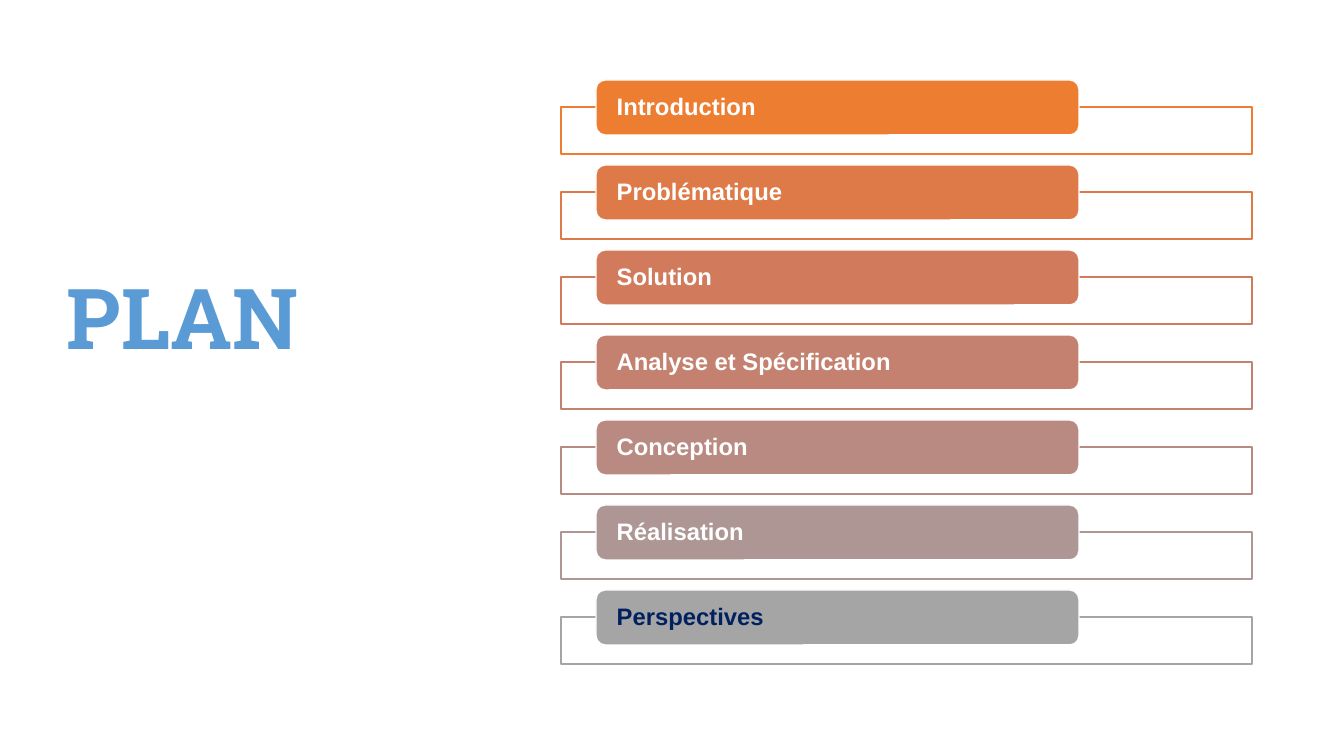
from collections import namedtuple
from lxml.etree import SubElement
from pptx import Presentation
from pptx.dml.color import RGBColor as RGB
from pptx.enum.shapes import MSO_SHAPE as SHAPE
from pptx.enum.text import MSO_ANCHOR as ANCHOR, MSO_AUTO_SIZE as FIT, PP_ALIGN as ALIGN
from pptx.oxml.ns import qn
from pptx.util import Emu, Pt

# Content: label, colour of the step
TITLE = "PLAN"
STEPS = [
    ("Introduction", "ED7D31"),
    ("Problématique", "DE7A47"),
    ("Solution", "D17B5C"),
    ("Analyse et Spécification", "C48170"),
    ("Conception", "B98A82"),
    ("Réalisation", "AE9694"),
    ("Perspectives", "A5A5A5"),
]

# Theme
Theme = namedtuple("Theme", "white blue navy head body big small line")
theme = Theme("FFFFFF", "5B9BD5", "002060", "Roboto Slab", "Arial", 60, 17, 1)

# Layout in px: left, top, width, height of the first row
SIZE = (1344, 756)
HEAD = (57, 69, 419, 607)
FRAME = (561, 107, 691, 47)
PILL = (596, 80, 483, 55)
PITCH = 85
SCALE = 914400 / 100.8


def px(n):
    return Emu(round(n * SCALE))


def put(obj, **values):
    for name, value in values.items():
        setattr(obj, name, value)


def write(shape, text, font, size, color, pad):
    frame = shape.text_frame
    left, top, right, low = map(px, pad)
    put(frame, text=text, word_wrap=True, auto_size=FIT.NONE,
        vertical_anchor=ANCHOR.MIDDLE, margin_left=left, margin_top=top,
        margin_right=right, margin_bottom=low)
    para = frame.paragraphs[0]
    put(para, alignment=ALIGN.LEFT, line_spacing=0.9)
    run = para.runs[0]
    put(run.font, name=font, size=Pt(size), bold=True)
    run.font.color.rgb = RGB.from_string(color)


def draw(kind, box, row, fill, line):
    left, top, width, height = box
    shape = slide.shapes.add_shape(
        kind, *map(px, (left, top + row * PITCH, width, height)))
    shape.shadow.inherit = False
    shape.fill.solid()
    shape.fill.fore_color.rgb = RGB.from_string(fill)
    shape.line.color.rgb = RGB.from_string(line)
    shape.line.width = Pt(theme.line)
    return shape


# Slide
deck = Presentation()
put(deck, slide_width=px(SIZE[0]), slide_height=px(SIZE[1]))
slide = deck.slides.add_slide(deck.slide_layouts[5])

# Title, raised by a deep lower margin
title = slide.shapes.title
put(title, **dict(zip(("left", "top", "width", "height"), map(px, HEAD))))
write(title, TITLE, theme.head, theme.big, theme.blue, (10, 5, 10, 105))

# Steps: a clear frame with a filled pill on its upper edge
for row, (label, color) in enumerate(STEPS):
    frame = draw(SHAPE.RECTANGLE, FRAME, row, theme.white, color)
    tint = frame.fill._xPr.find(qn("a:solidFill"))[0]
    SubElement(tint, qn("a:alpha"), val="90000")
    pill = draw(SHAPE.ROUNDED_RECTANGLE, PILL, row, color, theme.white)
    last = row == len(STEPS) - 1
    write(pill, label, theme.body, theme.small,
          theme.navy if last else theme.white, (18, 0, 18, 0))

deck.save("out.pptx")
